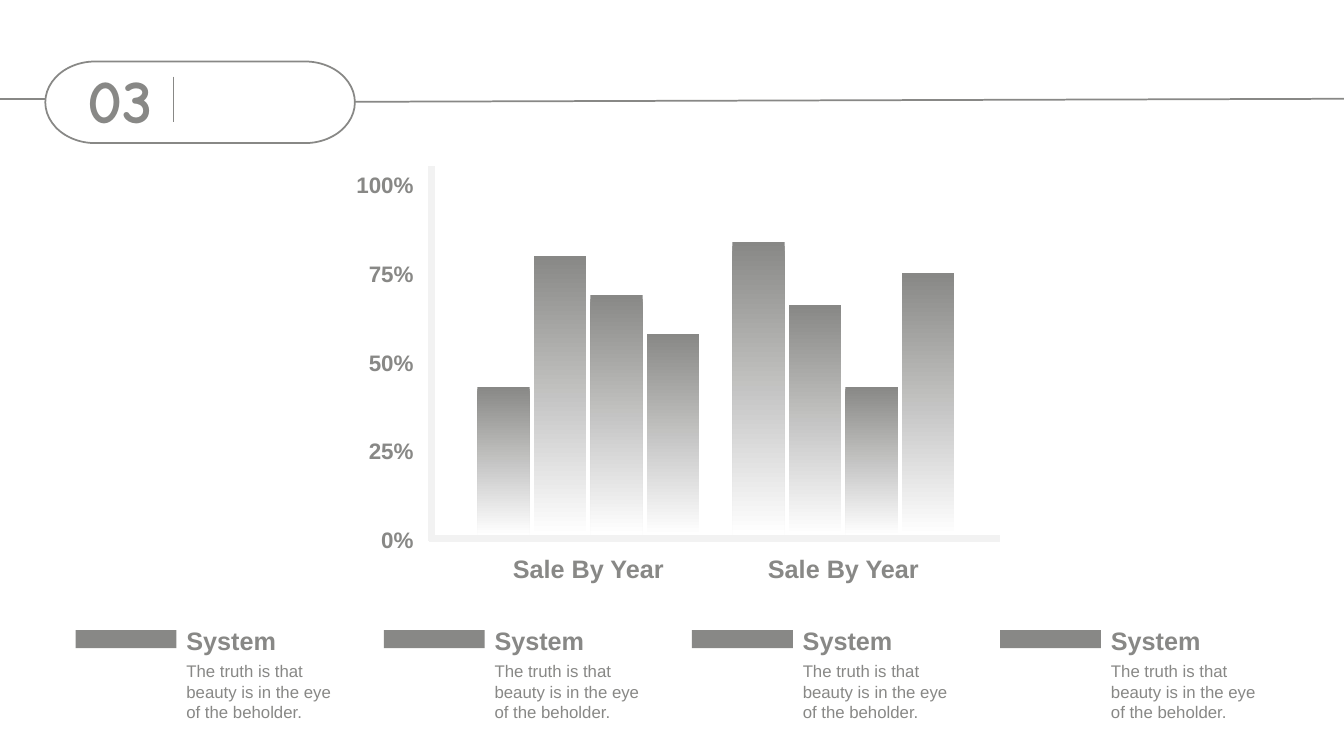
from lxml import etree
from pptx import Presentation
from pptx.chart.data import CategoryChartData
from pptx.dml.color import RGBColor
from pptx.enum.chart import XL_CHART_TYPE as CHART_TYPE
from pptx.enum.shapes import MSO_CONNECTOR as CONNECTOR
from pptx.enum.shapes import MSO_SHAPE as SHAPE
from pptx.enum.text import MSO_ANCHOR as ANCHOR
from pptx.enum.text import PP_ALIGN as ALIGN
from pptx.oxml import parse_xml
from pptx.oxml.ns import nsdecls, qn
from pptx.util import Inches, Pt

GRAY, PALE, WHITE = "888886", "F2F2F2", "FFFFFF"
LEVELS = ["100%", "75%", "50%", "25%", "0%"]
YEARS = ["Sale By Year", "Sale By Year"]
SALES = [(0.42, 0.83), (0.79, 0.65), (0.68, 0.42), (0.57, 0.74)]
SYSTEMS = [("System", "The truth is that beauty is in the eye of the beholder.")] * 4


def color(value):
    return RGBColor.from_string(value)


def write(shape, text, size, bold=False, align=ALIGN.LEFT, font="Arial",
          wrap=False, anchor=ANCHOR.TOP):
    frame = shape.text_frame
    frame.word_wrap = wrap
    frame.vertical_anchor = anchor
    paragraph = frame.paragraphs[0]
    paragraph.text = text
    paragraph.alignment = align
    paragraph.font.name = font
    paragraph.font.size = Pt(size)
    paragraph.font.bold = bold
    paragraph.font.color.rgb = color(GRAY)


def add_text(slide, left, top, width, height, text, size, **text_format):
    box = slide.shapes.add_textbox(Inches(left), Inches(top), Inches(width), Inches(height))
    write(box, text, size, **text_format)


def add_line(slide, start, end, line_color=GRAY, width=1.25):
    line = slide.shapes.add_connector(CONNECTOR.STRAIGHT, *map(Inches, start + end))
    line.line.color.rgb = color(line_color)
    line.line.width = Pt(width)
    etree.SubElement(line._element.spPr, qn("a:effectLst"))


def add_header(slide, left, top, width, height, number):
    right = left + width
    add_line(slide, (right, 1.01), (13.33, 0.98))
    capsule = slide.shapes.add_shape(SHAPE.FLOWCHART_TERMINATOR, Inches(left), Inches(top),
                                     Inches(width), Inches(height))
    capsule.shadow.inherit = False
    capsule.fill.background()
    capsule.line.color.rgb = color(GRAY)
    capsule.line.width = Pt(1.25)
    add_line(slide, (0, 0.98), (left, 0.98))
    add_line(slide, (left + 1.27, top + 0.15), (left + 1.27, top + 0.6))

    title = slide.shapes.title
    title.left, title.top = Inches(left + 0.32), Inches(top - 0.05)
    title.width, title.height = Inches(0.98), Inches(0.84)
    write(title, number, 44, bold=True, font="Comic Neue", wrap=True)


def fill_plot_area(chart):
    """Stretch the plot over the whole chart frame."""
    plot_area = chart._chartSpace.chart.plotArea
    for layout in plot_area.findall(qn("c:layout")):
        plot_area.remove(layout)
    plot_area.insert(0, parse_xml(
        f'<c:layout {nsdecls("c")}><c:manualLayout><c:layoutTarget val="inner"/>'
        '<c:xMode val="edge"/><c:yMode val="edge"/><c:x val="0"/><c:y val="0"/>'
        '<c:w val="1"/><c:h val="1"/></c:manualLayout></c:layout>'))


def add_bars(slide, left, top, width, height):
    data = CategoryChartData(number_format="0%")
    data.categories = YEARS
    for (name, _), values in zip(SYSTEMS, SALES):
        data.add_series(name, values)
    chart = slide.shapes.add_chart(CHART_TYPE.COLUMN_CLUSTERED, Inches(left), Inches(top),
                                   Inches(width), Inches(height), data).chart
    chart.has_legend = False
    chart.has_title = False
    chart.font.name = "Arial"
    chart.font.size = Pt(16)
    chart.font.color.rgb = color(GRAY)
    chart.value_axis.minimum_scale = 0
    chart.value_axis.maximum_scale = 1
    chart.value_axis.has_major_gridlines = False
    chart.value_axis.visible = False
    chart.category_axis.visible = False
    fill_plot_area(chart)

    plot = chart.plots[0]
    plot.vary_by_categories = False
    plot.gap_width = 63
    plot.overlap = -8
    for series in plot.series:
        fill = series.format.fill
        fill.gradient()
        fill.gradient_angle = 270
        for stop, stop_color, position in zip(fill.gradient_stops, (GRAY, WHITE), (0, 1)):
            stop.color.rgb = color(stop_color)
            stop.position = position
        series.format.line.fill.background()


def add_sales_chart(slide, left, top, width, height):
    """Place the axes on the left and bottom of the box, with bars and labels."""
    bottom = top + height
    add_line(slide, (left + 0.03, top), (left + 0.03, bottom + 0.03), PALE, 5)
    add_line(slide, (left, bottom), (left + width, bottom), PALE, 5)
    for row, level in enumerate(LEVELS):
        add_text(slide, left - 0.83, top + 0.88 * row, 0.78, 0.37, level, 16,
                 bold=True, align=ALIGN.RIGHT)

    bars_left, bars_width = left + 0.32, 5.06
    add_bars(slide, bars_left, bottom - 3.54, bars_width, 3.51)
    year_width = bars_width / len(YEARS)
    for column, year in enumerate(YEARS):
        add_text(slide, bars_left + year_width * column, bottom + 0.1, year_width, 0.4,
                 year, 18, bold=True, align=ALIGN.CENTER)


def add_system(slide, left, top, name, description):
    bar = slide.shapes.add_shape(SHAPE.RECTANGLE, Inches(left), Inches(top + 0.1),
                                 Inches(1), Inches(0.18))
    bar.shadow.inherit = False
    bar.fill.solid()
    bar.fill.fore_color.rgb = color(GRAY)
    bar.line.fill.background()
    add_text(slide, left + 1, top, 1.1, 0.4, name, 18, bold=True)
    add_text(slide, left + 1, top + 0.36, 1.79, 0.71, description, 12, wrap=True)


def add_systems(slide, left, top, width):
    """Spread the systems evenly, the last one starting at the right of the box."""
    pitch = width / (len(SYSTEMS) - 1)
    for column, (name, description) in enumerate(SYSTEMS):
        add_system(slide, left + pitch * column, top, name, description)


def main():
    presentation = Presentation()
    presentation.slide_width = Inches(13.33)
    presentation.slide_height = Inches(7.5)
    slide = presentation.slides.add_slide(presentation.slide_layouts[5])
    add_header(slide, 0.45, 0.61, 3.07, 0.81, "03")
    add_sales_chart(slide, 4.25, 1.65, 5.67, 3.69)
    add_systems(slide, 0.75, 6.15, 9.17)
    presentation.save("out.pptx")


if __name__ == "__main__":
    main()
